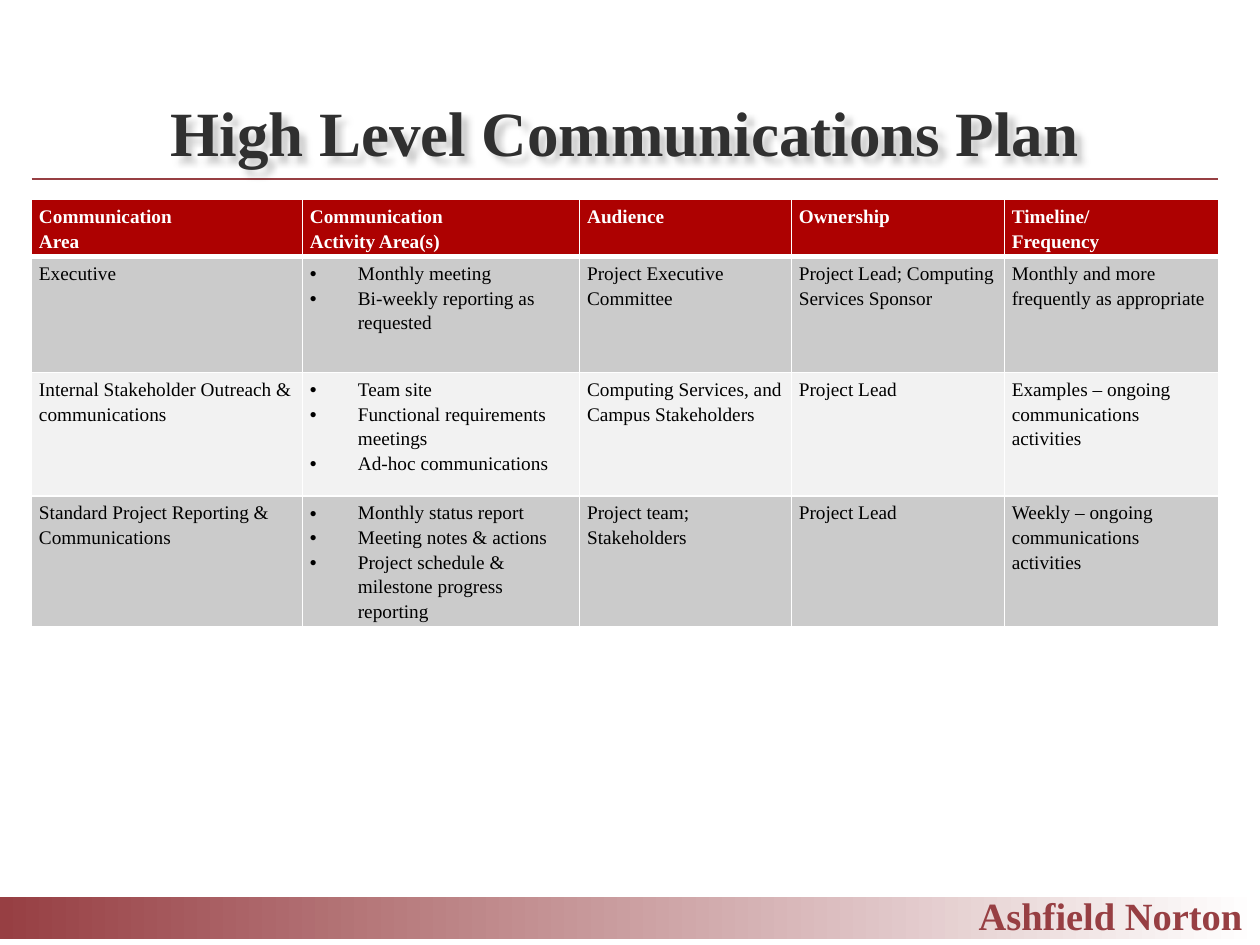
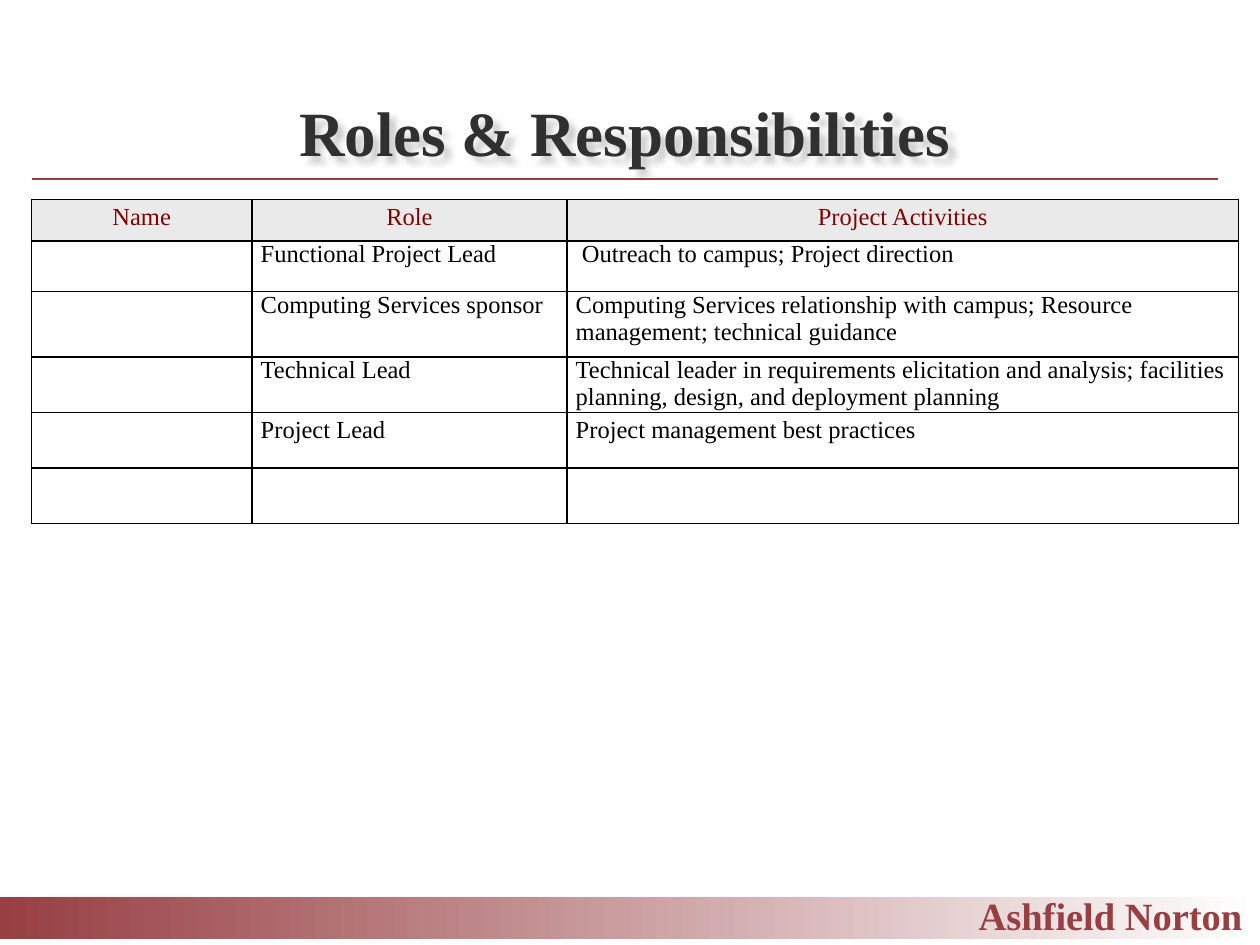
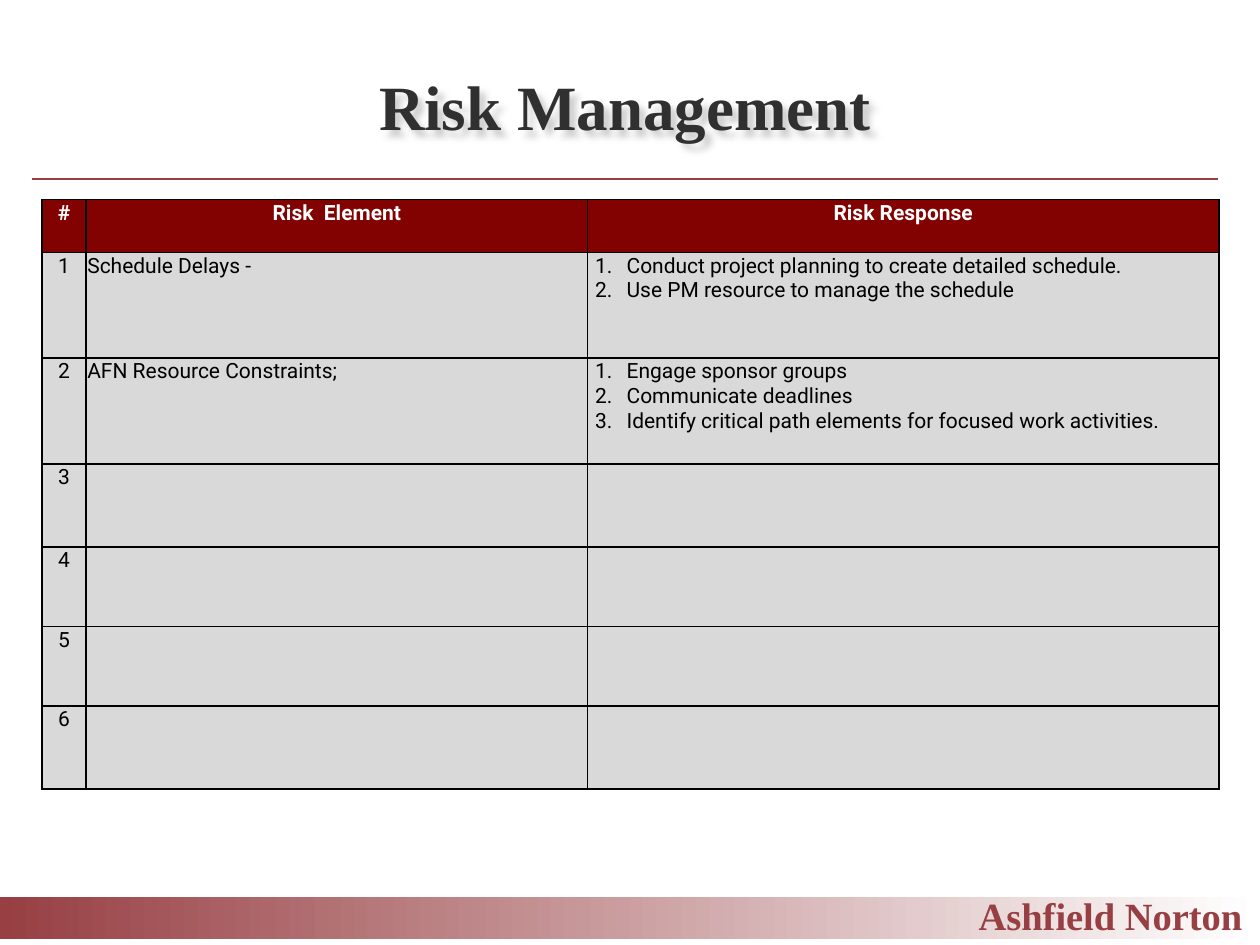
from lxml.etree import SubElement
from pptx import Presentation
from pptx.dml.color import RGBColor
from pptx.enum.shapes import MSO_CONNECTOR, MSO_SHAPE
from pptx.enum.text import MSO_ANCHOR, MSO_AUTO_SIZE, PP_ALIGN
from pptx.oxml.ns import qn
from pptx.util import Pt

COLORS = {
    "brand": "973F43", "title": "303030", "white": "FFFFFF", "black": "000000",
    "red": "AD0101", "dark_red": "820101", "mid_grey": "CBCBCB",
    "pale_grey": "F2F2F2", "head_grey": "EAEAEA", "risk_grey": "D9D9D9",
}
SERIF = "Times New Roman"
TITLE_FONT = {"size": Pt(36), "name": SERIF, "bold": True}
BRAND_FONT = {"size": Pt(22), "name": SERIF, "bold": True}
LEFT, RULE_Y, TABLE_TOP = 18, 102.2, 114


def rgb(name):
    return RGBColor.from_string(COLORS[name])


def box(*pts):
    return [Pt(v) for v in pts]


def set_attrs(obj, values):
    for name, value in values.items():
        setattr(obj, name, value)


def add_run(p, text, font, color):
    r = p.add_run()
    r.text = text
    set_attrs(r.font, font)
    r.font.color.rgb = rgb(color)


def add_child(parent, tag, **attrs):
    return SubElement(parent, qn(tag), {k: str(v) for k, v in attrs.items()})


# Shared band, name and rule, moved to the master
def add_master_parts(prs, s):
    band = s.shapes.add_shape(MSO_SHAPE.RECTANGLE, *box(0, 512.6, 720, 23.8))
    band.shadow.inherit = False
    band.line.fill.background()
    band.fill.gradient()
    band.fill.gradient_angle = 0
    for stop, color in zip(band.fill.gradient_stops, ("brand", "white")):
        stop.color.rgb = rgb(color)

    name = s.shapes.add_textbox(*box(552.2, 506.2, 270, 33.8))
    tf = name.text_frame
    set_attrs(tf, {"word_wrap": True, "auto_size": MSO_AUTO_SIZE.SHAPE_TO_FIT_TEXT})
    add_run(tf.paragraphs[0], "Ashfield Norton", BRAND_FONT, "brand")

    rule = s.shapes.add_connector(
        MSO_CONNECTOR.STRAIGHT, *box(LEFT, RULE_Y, 696.2, RULE_Y))
    rule.line.color.rgb = rgb("brand")
    rule.line.width = Pt(1.5)
    add_child(rule.element.spPr, "a:effectLst")

    tree = prs.slide_master.shapes.element
    for number, shape in enumerate((band, name, rule), 101):
        shape.element.xpath(".//p:cNvPr")[0].set("id", str(number))
        tree.append(shape.element)


# Title with a soft shadow
def set_title(s, text, height):
    title = s.shapes.title
    title.left, title.top, title.width, title.height = box(LEFT, 30.2, 678.2, height)
    tf = title.text_frame
    set_attrs(tf, {"word_wrap": True, "vertical_anchor": MSO_ANCHOR.MIDDLE,
                   "auto_size": MSO_AUTO_SIZE.NONE})
    p = tf.paragraphs[0]
    p.alignment = PP_ALIGN.CENTER
    add_run(p, text, TITLE_FONT, "title")
    effects = add_child(title.element.spPr, "a:effectLst")
    shadow = add_child(effects, "a:outerShdw", blurRad=Pt(4), dist=Pt(4),
                       dir=2700000, algn="tl", rotWithShape=0)
    color = add_child(shadow, "a:srgbClr", val=COLORS["black"])
    add_child(color, "a:alpha", val=20000)


def set_borders(cell, color, widths):
    tc_pr = cell._tc.get_or_add_tcPr()
    for side, width in zip("LRTB", widths):
        ln = add_child(tc_pr, f"a:ln{side}", w=Pt(width))
        add_child(add_child(ln, "a:solidFill"), "a:srgbClr", val=COLORS[color])


def set_list(p, kind, margin, hang):
    p_pr = p._p.get_or_add_pPr()
    p_pr.set("marL", str(Pt(margin)))
    p_pr.set("indent", str(-Pt(hang)))
    if kind == "bullet":
        add_child(p_pr, "a:buFont", typeface="Arial")
        add_child(p_pr, "a:buChar", char="•")
    else:
        add_child(p_pr, "a:buAutoNum", type="arabicPeriod")


# A string holds plain lines, a list holds marked items
def fill_cell(cell, content, look, color, bold, align, spacing):
    is_list = isinstance(content, list)
    lines = content if is_list else content.split("\n")
    tf = cell.text_frame
    for i, line in enumerate(lines):
        p = tf.add_paragraph() if i else tf.paragraphs[0]
        set_attrs(p, {"alignment": align, "line_spacing": spacing})
        if is_list:
            set_list(p, *look["list"])
        if line:
            font = {"size": Pt(look["size"]), "name": look["font"], "bold": bold}
            add_run(p, line, font, color)


def add_table(s, left, cols, heights, rows, look):
    frame = s.shapes.add_table(
        len(rows), len(cols), *box(left, TABLE_TOP, sum(cols), sum(heights)))
    table = frame.table
    set_attrs(table, {"first_row": False, "horz_banding": False})
    for column, width in zip(table.columns, cols):
        column.width = Pt(width)
    for i, (row, height, contents) in enumerate(zip(table.rows, heights, rows)):
        row.height = Pt(height)
        head = i == 0
        fills = look["fills"]
        fill = look["head_fill"] if head else fills[(i - 1) % len(fills)]
        top = look["head_rule"] if i == 1 else 1
        bottom = look["head_rule"] if head else 1
        for j, (cell, content) in enumerate(zip(row.cells, contents)):
            margins = zip(("left", "top", "right", "bottom"), look["insets"])
            set_attrs(cell, {f"margin_{side}": Pt(v) for side, v in margins})
            set_borders(cell, look["border"], (1, 1, top, bottom))
            if fill:
                cell.fill.solid()
                cell.fill.fore_color.rgb = rgb(fill)
            else:
                cell.fill.background()
            centred = j in look["centred"] or head and look["head_centred"]
            fill_cell(cell, content, look,
                      look["head_color"] if head else "black",
                      head and look["head_bold"],
                      PP_ALIGN.CENTER if centred else PP_ALIGN.LEFT,
                      look["spacing"][i % len(look["spacing"])])


PLAN_LOOK = {
    "font": SERIF, "size": 11, "insets": (4.3, 2.2, 4.3, 2.2), "spacing": [1.15],
    "border": "white", "head_rule": 3, "head_fill": "red", "head_color": "white",
    "head_bold": True, "head_centred": False, "centred": (),
    "fills": ["mid_grey", "pale_grey"], "list": ("bullet", 27.4, 27.4),
}
ROLES_LOOK = {
    "font": SERIF, "size": 14, "insets": (5, 0, 5, 0),
    "spacing": [1.15, 1.0, 1.0, 1.0, 1.15, 1.15],
    "border": "black", "head_rule": 1, "head_fill": "head_grey",
    "head_color": "dark_red", "head_bold": False, "head_centred": True,
    "centred": (), "fills": [None],
}
RISK_LOOK = {
    "font": "Roboto", "size": 12, "insets": (0.7, 0.7, 0.7, 0), "spacing": [1.0],
    "border": "black", "head_rule": 1, "head_fill": "dark_red",
    "head_color": "white", "head_bold": True, "head_centred": True,
    "centred": (0,), "fills": ["risk_grey"], "list": ("number", 21.6, 18),
}

PLAN_ROWS = [
    ["Communication\nArea", "Communication\nActivity Area(s)", "Audience",
     "Ownership", "Timeline/\nFrequency"],
    ["Executive", ["Monthly meeting", "Bi-weekly reporting as requested"],
     "Project Executive Committee", "Project Lead; Computing Services Sponsor",
     "Monthly and more frequently as appropriate"],
    ["Internal Stakeholder Outreach & communications",
     ["Team site", "Functional requirements meetings", "Ad-hoc communications"],
     "Computing Services, and Campus Stakeholders", "Project Lead",
     "Examples – ongoing communications activities"],
    ["Standard Project Reporting & Communications",
     ["Monthly status report", "Meeting notes & actions",
      "Project schedule & milestone progress reporting"],
     "Project team; Stakeholders", "Project Lead",
     "Weekly – ongoing communications activities"],
]
ROLES_ROWS = [
    ["Name", "Role", "Project Activities"],
    ["", "Functional Project Lead", " Outreach to campus; Project direction"],
    ["", "Computing Services sponsor",
     "Computing Services relationship with campus; Resource management; "
     "technical guidance"],
    ["", "Technical Lead",
     "Technical leader in requirements elicitation and analysis; facilities "
     "planning, design, and deployment planning"],
    ["", "Project Lead", "Project management best practices"],
    ["", "", ""],
]
RISK_ROWS = [
    ["#", "Risk  Element", "Risk Response"],
    ["1", "Schedule Delays -",
     ["Conduct project planning to create detailed schedule.",
      "Use PM resource to manage the schedule"]],
    ["2", "AFN Resource Constraints;",
     ["Engage sponsor groups", "Communicate deadlines",
      "Identify critical path elements for focused work activities."]],
] + [[str(n), "", ""] for n in range(3, 7)]

# Title, title height, table left, columns, row heights, rows, look
SLIDES = [
    ("High Level Communications Plan", 90, LEFT,
     [154.8, 158.4, 121, 121.7, 122.4], [31.7, 66.2, 70.6, 59],
     PLAN_ROWS, PLAN_LOOK),
    ("Roles & Responsibilities", 90, LEFT, [126, 180, 383.8],
     [23.8, 28.8, 37.4] + [31.7] * 3, ROLES_ROWS, ROLES_LOOK),
    ("Risk Management", 60, 24, [25.2, 286.6, 360.7],
     [30.2, 60.5, 60.5, 47.5, 45.4, 45.4, 47.5], RISK_ROWS, RISK_LOOK),
]


def main():
    prs = Presentation()
    prs.slide_width, prs.slide_height = Pt(720), Pt(540)
    layout = prs.slide_layouts.get_by_name("Title Only")
    for i, (title, height, *table) in enumerate(SLIDES):
        s = prs.slides.add_slide(layout)
        if i == 0:
            add_master_parts(prs, s)
        set_title(s, title, height)
        add_table(s, *table)
    prs.save("out.pptx")


if __name__ == "__main__":
    main()
